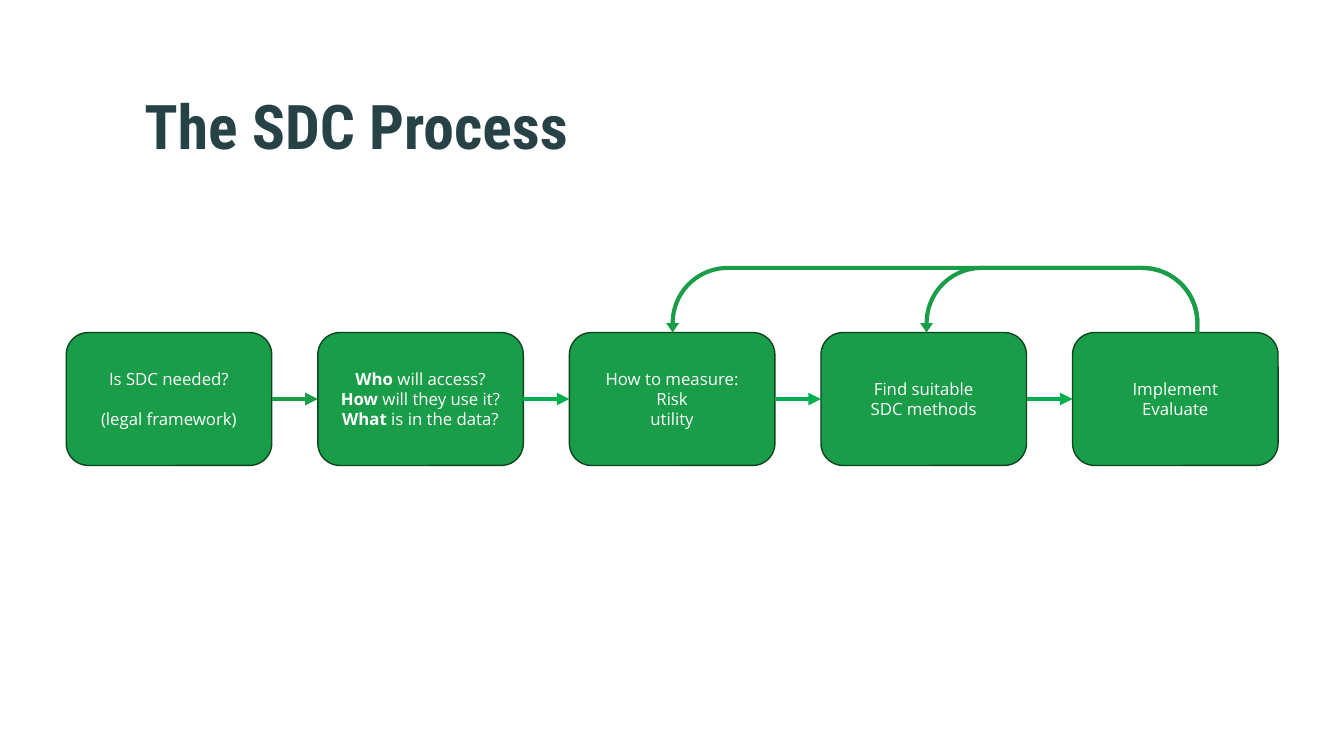
from dataclasses import dataclass
from itertools import pairwise

from lxml.etree import SubElement
from pptx import Presentation
from pptx.dml.color import RGBColor
from pptx.enum.shapes import MSO_CONNECTOR, MSO_SHAPE
from pptx.enum.text import MSO_ANCHOR, MSO_AUTO_SIZE, PP_ALIGN
from pptx.oxml.ns import qn
from pptx.util import Cm, Pt


@dataclass(frozen=True)
class Theme:
    title_ink = RGBColor.from_string("274247")
    step_ink = RGBColor.from_string("FFFFFF")
    green = RGBColor.from_string("1A9D49")
    bright_green = RGBColor.from_string("00B050")
    outline = RGBColor.from_string("0B4520")
    title_font = "Roboto Condensed"
    step_font = "Open Sans"
    title_size = Pt(44)
    step_size = Pt(12)
    line_gap = Pt(14.3)
    outline_width = Pt(1)
    arrow_width = Pt(3)


THEME = Theme()

# Each step is a list of lines: (bold lead, remaining words, space before).
STEPS = [
    [("", "Is SDC needed?", 0), ("", "(legal framework)", THEME.line_gap)],
    [("Who", " will access?", 0), ("How", " will they use it?", 0),
     ("What", " is in the data?", 0)],
    [("", "How to measure:", 0), ("", "Risk", 0), ("", "utility", 0)],
    [("", "Find suitable", 0), ("", "SDC methods", 0)],
    [("", "Implement", 0), ("", "Evaluate", 0)],
]
STEP_WIDTH, STEP_PITCH = Cm(5.18), Cm(6.34)
LOOP_HEIGHT, LOOP_START = Cm(1.68), Cm(3.2)
LOOP_TARGETS = {3: Cm(2.5), 2: Cm(2.44)}
LOOP_PROPORTIONS = (0.062, 0.097, 0.142, 0.858, 1)


def apply_format(target, values):
    for key, value in values.items():
        setattr(target, key, value)


def add_words(paragraph, words, color, **font_values):
    run = paragraph.add_run()
    run.text = words
    apply_format(run.font, font_values)
    run.font.color.rgb = color


def add_title(slide, left, top, width, height):
    title = slide.shapes.title
    apply_format(title, dict(left=left, top=top, width=width, height=height))
    apply_format(title.text_frame, dict(
        vertical_anchor=MSO_ANCHOR.MIDDLE, auto_size=MSO_AUTO_SIZE.NONE,
        word_wrap=True, margin_left=Cm(0.25), margin_right=Cm(0.25),
        margin_top=0, margin_bottom=Cm(0.13)))
    heading = title.text_frame.paragraphs[0]
    apply_format(heading, dict(alignment=PP_ALIGN.LEFT, line_spacing=0.9))
    add_words(heading, "The SDC Process", THEME.title_ink,
              name=THEME.title_font, size=THEME.title_size, bold=True)


def add_step(slide, lines, left, top, width, height):
    step = slide.shapes.add_shape(
        MSO_SHAPE.ROUNDED_RECTANGLE, left, top, width, height)
    step.shadow.inherit = False
    step.fill.solid()
    step.fill.fore_color.rgb = THEME.green
    step.line.color.rgb = THEME.outline
    step.line.width = THEME.outline_width
    apply_format(step.text_frame, dict(
        vertical_anchor=MSO_ANCHOR.MIDDLE, word_wrap=True))
    for index, (lead, rest, gap) in enumerate(lines):
        frame = step.text_frame
        paragraph = frame.add_paragraph() if index else frame.paragraphs[0]
        apply_format(paragraph, dict(
            alignment=PP_ALIGN.CENTER, space_before=gap))
        for words, bold in ((lead, True), (rest, False)):
            if words:
                add_words(paragraph, words, THEME.step_ink, bold=bold,
                          name=THEME.step_font, size=THEME.step_size)
    return step


def link_steps(slide, source, target, color):
    """Draw an arrow from the right side of source to the left of target."""
    arrow = slide.shapes.add_connector(MSO_CONNECTOR.STRAIGHT, 0, 0, 0, 0)
    arrow.begin_connect(source, 3)
    arrow.end_connect(target, 1)
    arrow.line.color.rgb = color
    arrow.line.width = THEME.arrow_width
    SubElement(arrow.line._get_or_add_ln(), qn("a:tailEnd"), type="triangle")
    SubElement(arrow._element.spPr, qn("a:effectLst"))


def add_loop(slide, left, top, width, height):
    """Draw a U-turn arrow that leads back from right to left."""
    loop = slide.shapes.add_shape(
        MSO_SHAPE.U_TURN_ARROW, left, top, width, height)
    for index, proportion in enumerate(LOOP_PROPORTIONS):
        loop.adjustments[index] = proportion
    loop._element.spPr.xfrm.set("flipH", "1")
    loop.shadow.inherit = False
    loop.fill.solid()
    loop.fill.fore_color.rgb = THEME.green
    loop.line.fill.background()


def add_process(slide, left, top, height):
    steps = [
        add_step(slide, lines, left + index * STEP_PITCH, top,
                 STEP_WIDTH, height)
        for index, lines in enumerate(STEPS)]
    for index, (source, target) in enumerate(pairwise(steps)):
        color = THEME.bright_green if index else THEME.green
        link_steps(slide, source, target, color)
    loop_right = steps[-1].left + LOOP_START
    for index, offset in LOOP_TARGETS.items():
        loop_left = steps[index].left + offset
        add_loop(slide, loop_left, top - LOOP_HEIGHT,
                 loop_right - loop_left, LOOP_HEIGHT)


def main():
    deck = Presentation()
    apply_format(deck, dict(slide_width=Cm(33.87), slide_height=Cm(19.05)))
    slide = deck.slides.add_slide(deck.slide_layouts.get_by_name("Title Only"))
    add_title(slide, Cm(3.39), Cm(1.52), Cm(26.82), Cm(3.63))
    add_process(slide, Cm(1.67), Cm(8.38), Cm(3.35))
    deck.save("out.pptx")


if __name__ == "__main__":
    main()
